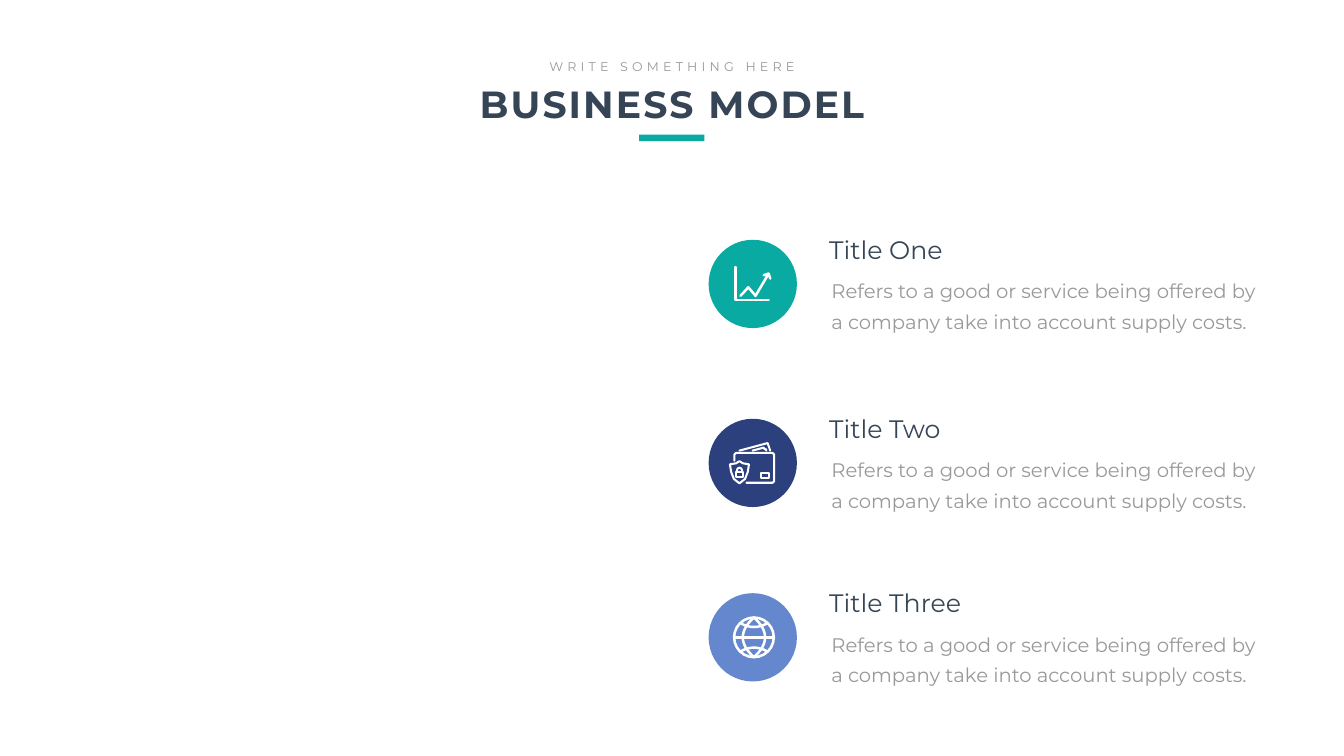
from lxml import etree
from pptx import Presentation
from pptx.dml.color import RGBColor
from pptx.enum.shapes import MSO_CONNECTOR, MSO_SHAPE
from pptx.enum.text import PP_ALIGN
from pptx.oxml.ns import qn
from pptx.util import Cm, Pt

RECT, OVAL = MSO_SHAPE.RECTANGLE, MSO_SHAPE.OVAL
STRAIGHT = MSO_CONNECTOR.STRAIGHT
LEFT, CENTER = PP_ALIGN.LEFT, PP_ALIGN.CENTER
TEAL, NAVY, BLUE = "08AAA2", "2C407E", "6587CD"
DARK, GREY, WHITE = "364556", "999999", "FFFFFF"
rgb = RGBColor.from_string

prs = Presentation()
prs.slide_width, prs.slide_height = Cm(67.72), Cm(38.1)
slide = prs.slides.add_slide(prs.slide_layouts[6])
shapes = slide.shapes


def add_text(x, y, w, h, text, size, color, align=LEFT, bold=False, spacing=0):
    tf = shapes.add_textbox(Cm(x), Cm(y), Cm(w), Cm(h)).text_frame
    tf.word_wrap = True
    p = tf.paragraphs[0]
    p.alignment = align
    r = p.add_run()
    r.text = text
    font = {"name": "Montserrat", "size": Pt(size), "bold": bold}
    for key, value in font.items():
        setattr(r.font, key, value)
    r.font.color.rgb = rgb(color)
    if spacing:
        r.font._element.set("spc", str(spacing * 100))
    return tf


def set_stroke(s, width):
    """White line with round ends and joins."""
    s.line.color.rgb = rgb(WHITE)
    s.line.width = Pt(width)
    ln = s._element.spPr.find(qn("a:ln"))
    ln.set("cap", "rnd")
    etree.SubElement(ln, qn("a:round"))


# Heading
add_text(21.64, 3.94, 24.46, 2.57, "BUSINESS MODEL", 54, DARK, CENTER, True, 3)
add_text(27.28, 2.84, 13.16, 1.02, "WRITE SOMETHING HERE", 18, GREY, CENTER, False, 6)
s = shapes.add_shape(RECT, Cm(32.21), Cm(6.78), Cm(3.28), Cm(0.33))
s.shadow.inherit = False
s.fill.solid()
s.fill.fore_color.rgb = rgb(TEAL)
s.line.fill.background()

# Rows: coloured circle, title and description
CX, DIAMETER = 37.93, 4.45
BODY = "Refers to a good or service being offered by a company take into account supply costs."
INSETS = {"margin_left": 0.61, "margin_right": 0.61, "margin_top": 0.3, "margin_bottom": 0.3}
CHART_Y, WALLET_Y, GLOBE_Y = 14.31, 23.33, 32.12
rows = [
    ("Title One", CHART_Y, TEAL),
    ("Title Two", WALLET_Y, NAVY),
    ("Title Three", GLOBE_Y, BLUE),
]
for title, cy, color in rows:
    s = shapes.add_shape(OVAL, Cm(CX - DIAMETER / 2), Cm(cy - DIAMETER / 2), Cm(DIAMETER), Cm(DIAMETER))
    s.shadow.inherit = False
    s.fill.solid()
    s.fill.fore_color.rgb = rgb(color)
    s.line.fill.background()
    add_text(41.53, cy - 2.63, 10.08, 1.8, title, 36, DARK)
    tf = add_text(41.28, cy - 0.86, 22.8, 3.53, BODY, 28, GREY)
    for key, value in INSETS.items():
        setattr(tf, key, Cm(value))
    tf.paragraphs[0].line_spacing = Pt(43)

# Icon outlines, in cm from the circle centre
GLOBE_DX, SHIELD_DX = 0.06, -0.67
steps = [i / 8 for i in range(-8, 9)]
half_shield = [(0, -0.09), (0.17, 0.02), (0.48, 0.07), (0.42, 0.45), (0.28, 0.81), (0, 1.03)]
half_shackle = [(0, 0.24), (0.09, 0.28), (0.13, 0.38), (0.13, 0.46)]
shield, shackle = [
    [(SHIELD_DX - x, y) for x, y in reversed(half)] + [(SHIELD_DX + x, y) for x, y in half[1:]]
    for half in (half_shield, half_shackle)
]
axes = [(-0.88, -0.85), (-0.88, 0.8), (0.8, 0.8)]
trend = [(-0.62, 0.6), (-0.22, 0.17), (0.14, 0.6), (0.8, -0.52)]
arrow_tip = [(0.55, -0.44), (0.8, -0.52), (0.88, -0.27)]
outer_note = [(-0.67, -0.62), (0.75, -1), (0.88, -0.62)]
inner_note = [(-0.01, -0.62), (0.55, -0.77), (0.6, -0.69), (0.67, -0.69), (0.68, -0.62)]
wallet = [(-0.93, -0.11), (-0.93, -0.42), (-0.85, -0.5), (1, -0.5), (1.08, -0.42),
          (1.08, 0.92), (1, 1), (-0.32, 1)]
outlines = [(CHART_Y, 3.6, line) for line in (axes, trend, arrow_tip)]
outlines += [(WALLET_Y, 2.9, line) for line in (outer_note, inner_note, wallet, shield, shackle)]
for sign in (-1, 1):
    parallel = [(GLOBE_DX + 0.69 * t, sign * (0.52 + 0.2 * t * t)) for t in steps]
    meridian = [(GLOBE_DX + sign * 0.56 * (1 - t * t), t) for t in steps]
    outlines += [(GLOBE_Y, 3.6, parallel), (GLOBE_Y, 3.6, meridian)]

for cy, width, line in outlines:
    points = [(Cm(CX + x), Cm(cy + y)) for x, y in line]
    builder = shapes.build_freeform(*points[0])
    builder.add_line_segments(points[1:], close=False)
    s = builder.convert_to_shape()
    s.shadow.inherit = False
    s.fill.background()
    set_stroke(s, width)

# Wallet clasp, padlock body and globe rim
parts = [
    (RECT, WALLET_Y, 2.9, 0.44, 0.5, 0.39, 0.25),
    (RECT, WALLET_Y, 2.9, SHIELD_DX - 0.16, 0.46, 0.32, 0.23),
    (OVAL, GLOBE_Y, 3.6, GLOBE_DX - 1, -1, 2, 2),
]
for kind, cy, width, x, y, w, h in parts:
    s = shapes.add_shape(kind, Cm(CX + x), Cm(cy + y), Cm(w), Cm(h))
    s.shadow.inherit = False
    s.fill.background()
    set_stroke(s, width)

# Globe equator
s = shapes.add_connector(STRAIGHT, Cm(CX + GLOBE_DX - 1), Cm(GLOBE_Y), Cm(CX + GLOBE_DX + 1), Cm(GLOBE_Y))
set_stroke(s, 3.6)
etree.SubElement(s._element.spPr, qn("a:effectLst"))

prs.save("out.pptx")
